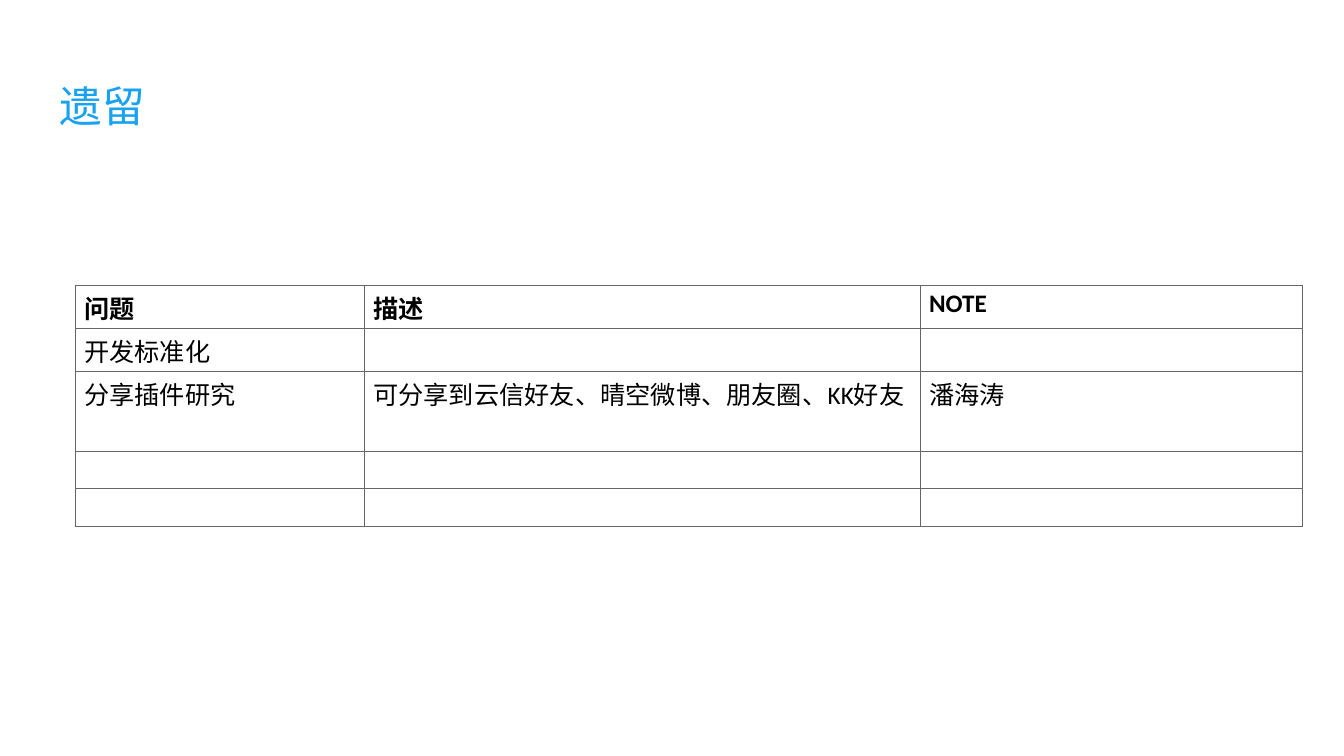
"""Build a slide listing the remaining issues in a bordered table."""
import pptx
import pptx.util
import pptx.dml.color
import pptx.enum.text
import pptx.oxml.ns
import lxml.etree

Inches = pptx.util.Inches
Pt = pptx.util.Pt

TITLE = "遗留"
ISSUES = [
    ("问题", "描述", "NOTE"),
    ("开发标准化", "", ""),
    ("分享插件研究", "可分享到云信好友、晴空微博、朋友圈、KK好友", "潘海涛"),
    ("", "", ""),
    ("", "", ""),
]
COLUMN_WIDTHS = (2.71, 5.21, 3.58)
ROW_HEIGHTS = (0.27, 0.35, 0.35, 0.35, 0.35)
COLORS = {"title": "18A2EF", "text": "000000", "border": "666666"}
LATIN_FONT = "Calibri"
CHINESE_FONT = "Noto Sans CJK SC"
CELL_SIZE = 17


def add_element(parent, tag, **attributes):
    """Append a DrawingML element to its parent."""
    return lxml.etree.SubElement(parent, pptx.oxml.ns.qn(tag), attributes)


def format_span(span, size, color, latin, bold=False):
    """Set the fonts, size, weight and colour of a run."""
    span.font.size = Pt(size)
    span.font.bold = bold
    span.font.color.rgb = pptx.dml.color.RGBColor.from_string(COLORS[color])
    span.font.name = latin
    add_element(span.font._element, "a:ea", typeface=CHINESE_FONT)


def add_title(slide):
    """Place the title in its placeholder."""
    title = slide.shapes.title
    title.left, title.top = Inches(0.47), Inches(0.71)
    title.width, title.height = Inches(10.87), Inches(0.56)
    frame = title.text_frame
    frame.text = TITLE
    frame.margin_left = frame.margin_right = Inches(0.09)
    frame.margin_top = frame.margin_bottom = 0
    frame.vertical_anchor = pptx.enum.text.MSO_ANCHOR.MIDDLE
    para = frame.paragraphs[0]
    para.alignment = pptx.enum.text.PP_ALIGN.LEFT
    format_span(para.runs[0], 28.8, "title", CHINESE_FONT)


def add_borders(cell):
    """Draw a thin line on all four sides of a cell."""
    properties = cell._tc.get_or_add_tcPr()
    for position, side in enumerate(("a:lnL", "a:lnR", "a:lnT", "a:lnB")):
        line = add_element(properties, side, w=str(Pt(0.75)))
        fill = add_element(line, "a:solidFill")
        add_element(fill, "a:srgbClr", val=COLORS["border"])
        properties.insert(position, line)


def fill_cell(cell, text, bold):
    """Write and format one cell."""
    cell.margin_left = cell.margin_right = Inches(0.08)
    cell.margin_top = cell.margin_bottom = Inches(0.03)
    cell.fill.background()
    add_borders(cell)
    para = cell.text_frame.paragraphs[0]
    if text:
        para.text = text
        format_span(para.runs[0], CELL_SIZE, "text", LATIN_FONT, bold)
    else:
        end = add_element(para._p, "a:endParaRPr", sz=str(CELL_SIZE * 100))
        add_element(end, "a:latin", typeface=LATIN_FONT)


def add_issue_table(slide):
    """Add the table of issues."""
    frame = slide.shapes.add_table(
        len(ROW_HEIGHTS), len(COLUMN_WIDTHS), Inches(0.71), Inches(2.68),
        Inches(sum(COLUMN_WIDTHS)), Inches(sum(ROW_HEIGHTS)))
    table = frame.table
    table.first_row = table.horz_banding = False
    for column, width in zip(table.columns, COLUMN_WIDTHS):
        column.width = Inches(width)
    for row_index, (row, height) in enumerate(zip(table.rows, ROW_HEIGHTS)):
        row.height = Inches(height)
        for cell, text in zip(row.cells, ISSUES[row_index]):
            fill_cell(cell, text, bold=row_index == 0)


def main():
    """Create and save the deck."""
    deck = pptx.Presentation()
    deck.slide_width, deck.slide_height = Inches(12.6), Inches(7.09)
    slide = deck.slides.add_slide(deck.slide_layouts[5])
    add_title(slide)
    add_issue_table(slide)
    deck.save("out.pptx")


if __name__ == "__main__":
    main()
